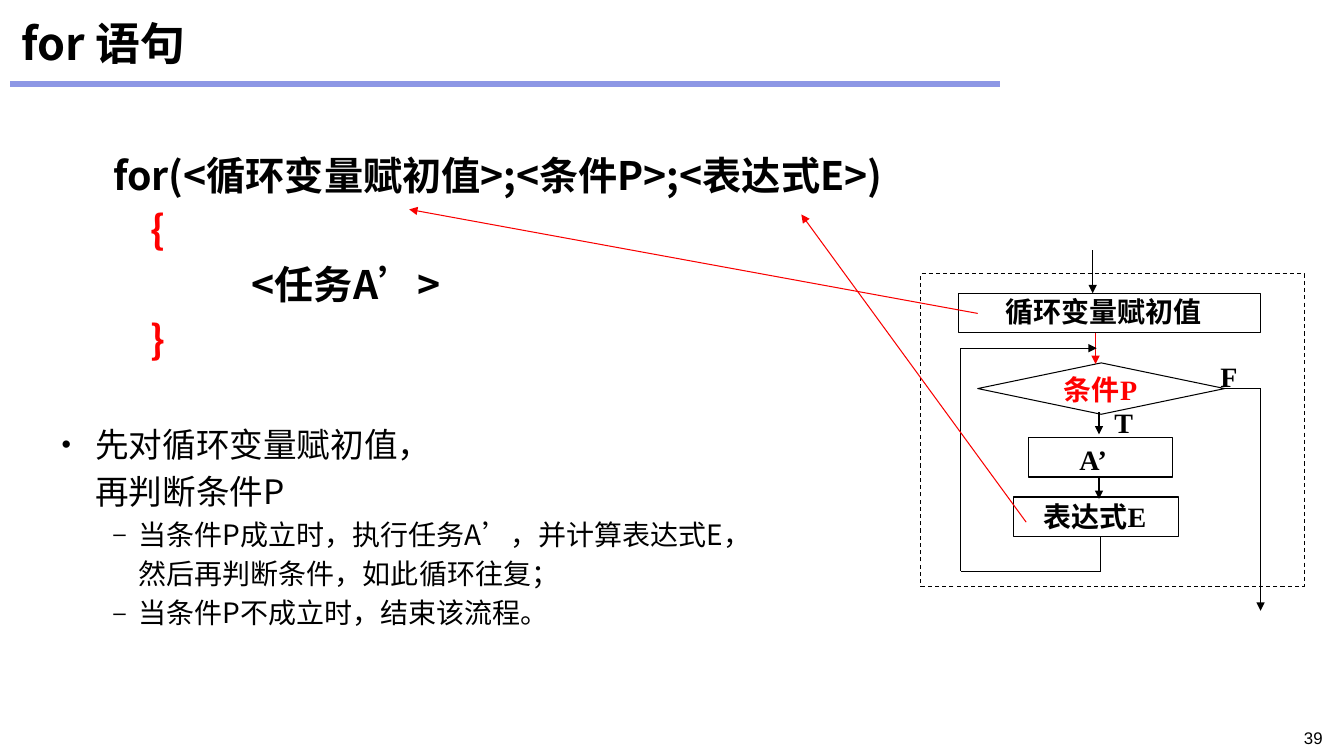
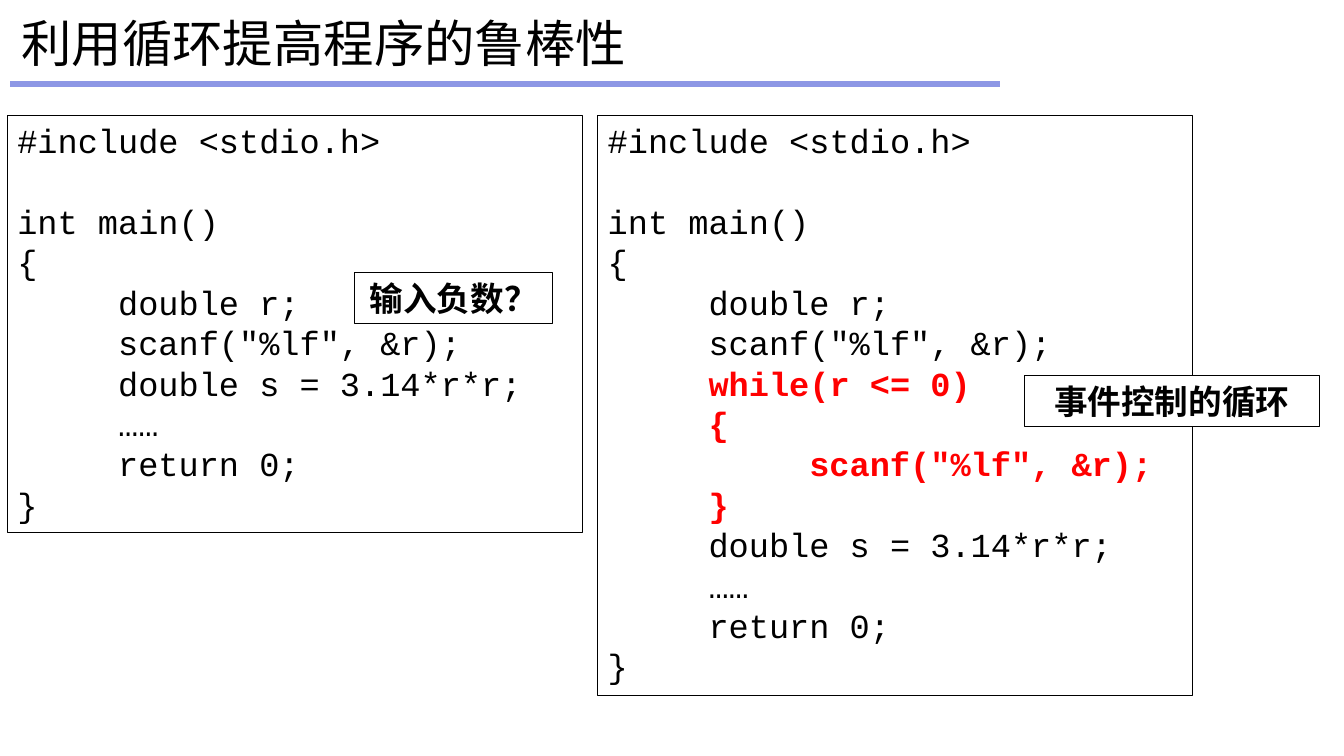
import pptx
import pptx.util
import pptx.dml.color
import pptx.enum.dml
import pptx.enum.shapes
import pptx.enum.text
import pptx.oxml.ns

Pt = pptx.util.Pt
qn = pptx.oxml.ns.qn
Shape = pptx.enum.shapes.MSO_SHAPE
Align = pptx.enum.text.PP_ALIGN
Anchor = pptx.enum.text.MSO_ANCHOR

COLOURS = {"black": "000000", "white": "FFFFFF", "red": "FF0000",
           "arrow": "F90000", "rule": "8D97E5"}
CJK = "Noto Sans CJK SC"
SERIF = "Times New Roman"
LEADING = 1.4  # line pitch as a multiple of the text size


def add_line(page, start, end, colour="black", width=0.75, arrow=False):
    line = page.shapes.add_connector(
        pptx.enum.shapes.MSO_CONNECTOR.STRAIGHT, *[Pt(v) for v in start + end])
    line.line.color.rgb = pptx.dml.color.RGBColor.from_string(COLOURS[colour])
    line.line.width = Pt(width)
    if arrow:
        outline = line.line._get_or_add_ln()
        outline.append(outline.makeelement(qn("a:tailEnd"), {"type": "triangle"}))
    properties = line._element.spPr
    properties.append(properties.makeelement(qn("a:effectLst"), {}))
    return line


def add_box(page, place, text, size, font, kind=None, fill=None, colour="black",
            bold=True, align=Align.LEFT, insets=(0, 0, 0, 0), pitch=None):
    """Add text in an outlined shape, or in a bare text box if kind is None."""
    place = [Pt(v) for v in place]
    if kind is None:
        box = page.shapes.add_textbox(*place)
    else:
        box = page.shapes.add_shape(kind, *place)
        box.shadow.inherit = False
        box.line.color.rgb = pptx.dml.color.RGBColor.from_string(COLOURS["black"])
        box.line.width = Pt(0.75)
        if fill:
            box.fill.solid()
            box.fill.fore_color.rgb = pptx.dml.color.RGBColor.from_string(COLOURS[fill])
        else:
            box.fill.background()
    frame = box.text_frame
    frame.word_wrap = True
    frame.vertical_anchor = Anchor.TOP if kind is None else Anchor.MIDDLE
    frame.margin_left, frame.margin_top, frame.margin_right, frame.margin_bottom = [
        Pt(v) for v in insets]
    frame.text = text
    for para in frame.paragraphs:
        para.alignment = align
        if pitch:
            para.line_spacing = Pt(pitch)
        for span in para.runs:
            span.font.size = Pt(size)
            span.font.bold = bold
            span.font.name = font
            span.font.color.rgb = pptx.dml.color.RGBColor.from_string(COLOURS[colour])
            properties = span._r.get_or_add_rPr()
            properties.append(properties.makeelement(qn("a:ea"), {"typeface": CJK}))
    return box


deck = pptx.Presentation()
deck.slide_width, deck.slide_height = Pt(960), Pt(540)

# Master: fonts, title place, list indents and the rule under the title
master = deck.slide_master
for typeface in master.element.iter(qn("a:latin"), qn("a:ea")):
    typeface.set("typeface", CJK)
master.element.find(".//" + qn("p:titleStyle")).find(qn("a:lvl1pPr")).set("algn", "l")
list_style = master.element.find(".//" + qn("p:bodyStyle"))
for level, margin, hang in (("a:lvl1pPr", 24, 24), ("a:lvl2pPr", 55, 18)):
    properties = list_style.find(qn(level))
    properties.set("marL", str(Pt(margin)))
    properties.set("indent", str(-Pt(hang)))
    properties.find(qn("a:buFont")).addprevious(
        properties.makeelement(qn("a:buSzPct"), {"val": "80000"}))
master_title = master.placeholders[0]
master_title.left, master_title.top = Pt(8), Pt(6.2)
master_title.width, master_title.height = Pt(944), Pt(48)

for_page = deck.slides.add_slide(deck.slide_layouts[1])
robust_page = deck.slides.add_slide(deck.slide_layouts[5])
rule = add_line(for_page, (7.2, 60.1), (714.2, 60.1), "rule", 4.5)
master.shapes._spTree.append(rule._element)

for page, heading, size, bold in ((for_page, "for 语句", 32, True),
                                  (robust_page, "利用循环提高程序的鲁棒性", 36, False)):
    page.shapes.title.text_frame.text = heading
    font = page.shapes.title.text_frame.paragraphs[0].runs[0].font
    font.size, font.bold = Pt(size), bold

# for statement: syntax
syntax = add_box(for_page, (80.8, 102.2, 640, 160),
                 "for(<循环变量赋初值>;<条件P>;<表达式E>)\n{\n<任务A’>\n}",
                 28, CJK, pitch=28 * LEADING)
for para, indent in zip(syntax.text_frame.paragraphs, (0, 27, 99, 27)):
    para._p.get_or_add_pPr().set("marL", str(Pt(indent)))
    if para.text in "{}":
        para.runs[0].font.color.rgb = pptx.dml.color.RGBColor.from_string(COLOURS["red"])

# for statement: explanation
body = for_page.placeholders[1]
body.left, body.top, body.width, body.height = Pt(44), Pt(298.3), Pt(600), Pt(200)
frame = body.text_frame
frame.margin_left = frame.margin_top = frame.margin_right = frame.margin_bottom = 0
frame.auto_size = pptx.enum.text.MSO_AUTO_SIZE.NONE
frame.text = ("先对循环变量赋初值，\v再判断条件P\n"
              "当条件P成立时，执行任务A’，并计算表达式E，\v然后再判断条件，如此循环往复；\n"
              "当条件P不成立时，结束该流程。")
for para, level in zip(frame.paragraphs, (0, 1, 1)):
    size = (24, 20)[level]
    para.level = level
    para.space_before = Pt(0)
    para.line_spacing = Pt(size * LEADING)
    for span in para.runs:
        span.font.size = Pt(size)

# for statement: flow chart
loop_frame = add_box(for_page, (657.4, 195.5, 274.3, 223.2), "", 20, SERIF, Shape.RECTANGLE)
loop_frame.line.dash_style = pptx.enum.dml.MSO_LINE.DASH
for kind, place, label, fill, colour, insets in (
        (Shape.RECTANGLE, (685, 209.5, 215.3, 28.3), "循环变量赋初值", None, "black",
         (0, 0, 9, 2.5)),
        (Shape.FLOWCHART_DECISION, (698.4, 259.2, 176.4, 36.7), "条件P", "white", "red",
         (0, 1, 1, 0)),
        (Shape.RECTANGLE, (734.4, 312.5, 102.8, 28.3), "A’", "white", "black",
         (0, 2.5, 10, 0)),
        (Shape.RECTANGLE, (723.6, 355, 118, 28.1), "表达式E", None, "black",
         (0, 0, 1, 0))):
    add_box(for_page, place, label, 20, SERIF, kind, fill, colour,
            align=Align.CENTER, insets=insets)
for label, left, top in (("T", 796, 289.4), ("F", 871.7, 256.6)):
    add_box(for_page, (left, top, 18, 18), label, 20, SERIF)

loop_left, loop_top, loop_bottom, exit_x = 686.2, 248.7, 408.2, 900.4
for start, end, colour, arrow in (
        ((780.5, 178.6), (780.5, 209.5), "black", True),
        ((782.6, 237.6), (782.6, 260), "arrow", True),
        ((785, 294.5), (785, 310.3), "black", True),
        ((785, 340.6), (785, 356.4), "black", True),
        ((786.2, 383), (786.2, loop_bottom), "black", False),
        ((786.2, loop_bottom), (loop_left, loop_bottom), "black", False),
        ((loop_left, loop_bottom), (loop_left, loop_top), "black", False),
        ((loop_left, loop_top), (783.4, loop_top), "black", True),
        ((874.8, 277.2), (exit_x, 277.2), "black", False),
        ((exit_x, 277.2), (exit_x, 436.3), "black", True),
        ((698.4, 223.9), (292.3, 149.6), "arrow", True),
        ((733, 373), (572.4, 153.2), "arrow", True)):
    add_line(for_page, start, end, colour, arrow=arrow)
add_box(for_page, (857.5, 516.2, 94.3, 18), "39", 12, "Arial", bold=False,
        align=Align.RIGHT, insets=(7.2, 3.6, 7.2, 3.6))

# Robust input: program without and with the checking loop
opening = "#include <stdio.h>\nint main()\n{\n\tdouble r;\n\tscanf(\"%lf\", &r);\n"
checking = "\twhile(r <= 0)\n\t{\n\t\tscanf(\"%lf\", &r);\n\t}\n"
closing = "\tdouble s = 3.14*r*r;\n\t……\n\treturn 0;\n}"
code_pitch = 28.85
code_indent = 72
for place, program, checked in (
        ((427, 82.4, 425, 414.4), opening + checking + closing, slice(5, 9)),
        ((5.3, 82.4, 410.8, 297.8), opening + closing, slice(0))):
    listing = add_box(robust_page, place, program.replace("\t", ""), 24, "Courier New",
                      Shape.RECTANGLE, bold=False, insets=(7.2, 3.3, 7.2, 3.3),
                      pitch=code_pitch)
    listing.text_frame.vertical_anchor = Anchor.TOP
    paragraphs = listing.text_frame.paragraphs
    paragraphs[1].space_before = Pt(code_pitch)
    for para, source_line in zip(paragraphs, program.split("\n")):
        depth = source_line.count("\t")
        para._p.get_or_add_pPr().set("marL", str(Pt(code_indent * depth)))
    for para in paragraphs[checked]:
        for span in para.runs:
            span.font.bold = True
            span.font.color.rgb = pptx.dml.color.RGBColor.from_string(COLOURS["red"])
for place, remark in (((731.5, 268.3, 211, 36.3), "事件控制的循环"),
                      ((253.4, 194.5, 141.5, 36.3), "输入负数？")):
    add_box(robust_page, place, remark, 24, "Arial", Shape.RECTANGLE, "white",
            align=Align.CENTER)

deck.save("out.pptx")
